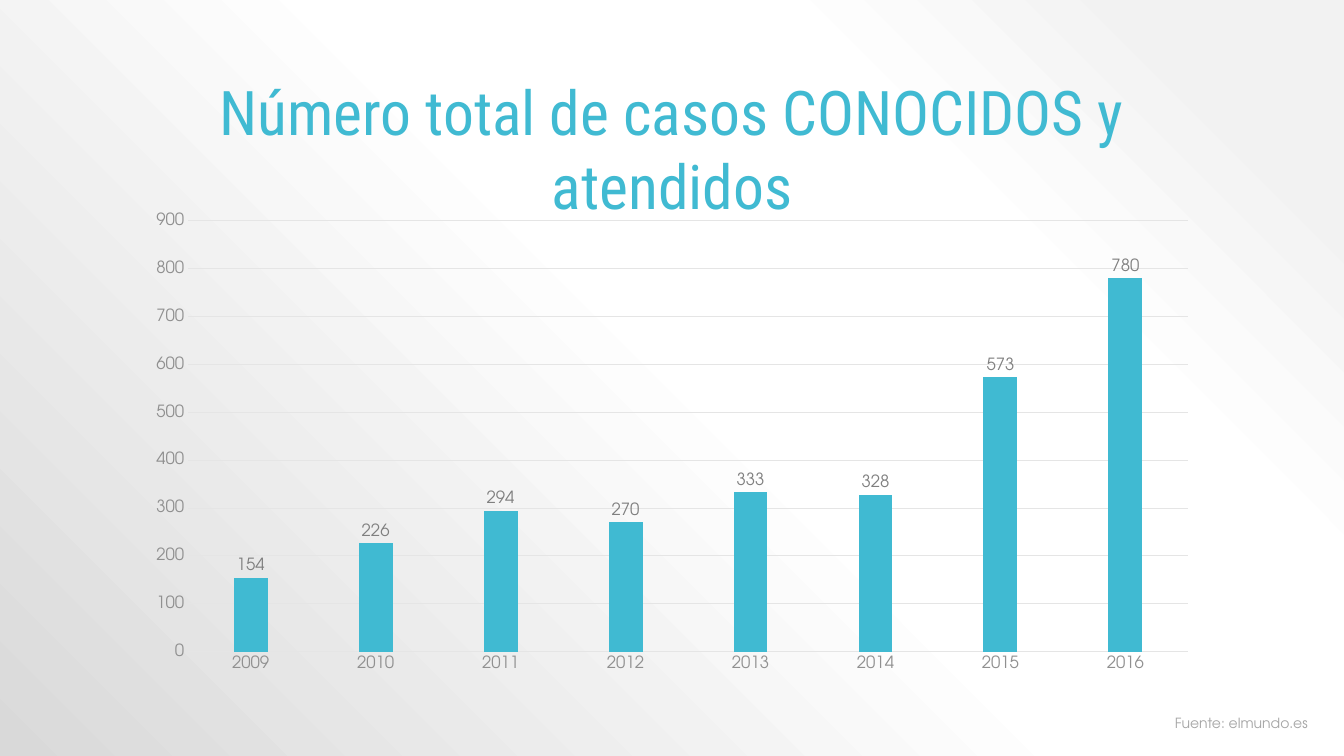
from pptx import Presentation
from pptx.chart.data import CategoryChartData as Data
from pptx.dml.color import RGBColor as Rgb
from pptx.enum.chart import XL_CHART_TYPE as Kind, XL_LABEL_POSITION as Spot, XL_TICK_MARK as Tick
from pptx.enum.text import MSO_AUTO_SIZE as Auto, PP_ALIGN as Align
from pptx.oxml import parse_xml
from pptx.oxml.ns import nsdecls, qn
from pptx.util import Cm, Pt

HUES = {"main": "40BAD2", "text": "545454", "axis": "909090", "label": "7F7F7F",
        "grid": "E5E5E5", "note": "A6A6A6"}
STOPS = [(10, "F2F2F2"), (28, "FFFFFF"), (48, "FFFFFF"), (100, "D9D9D9")]
HEAD, BODY = "Roboto Condensed", "TeX Gyre Adventor"
CASES = {"2009": 154, "2010": 226, "2011": 294, "2012": 270,
         "2013": 333, "2014": 328, "2015": 573, "2016": 780}
PLOT = {"x": 0.05, "y": 0.04, "w": 0.93, "h": 0.9}


def assign(item, **vals):
    """Set each named attribute on the item."""
    for name, val in vals.items():
        setattr(item, name, val)


def style(font, face, size, hue):
    """Set the face, size and colour of a font."""
    assign(font, name=face, size=Pt(size))
    font.color.rgb = Rgb.from_string(HUES[hue])


def paint(slide):
    """Fill the background with a gradient centred on the top right corner."""
    stops = "".join(f'<a:gs pos="{pos * 1000}"><a:srgbClr val="{hue}"/></a:gs>'
                    for pos, hue in STOPS)
    slide.element.cSld.insert(0, parse_xml(
        f'<p:bg {nsdecls("p", "a")}><p:bgPr><a:gradFill rotWithShape="1">'
        f'<a:gsLst>{stops}</a:gsLst><a:path path="circle">'
        '<a:fillToRect l="100000" b="100000"/></a:path></a:gradFill>'
        '<a:effectLst/></p:bgPr></p:bg>'))


def write(slide, box, text, font, wrap=True, **form):
    """Place one paragraph of text in the box."""
    frame = slide.shapes.add_textbox(*map(Cm, box)).text_frame
    assign(frame, word_wrap=wrap, auto_size=Auto.SHAPE_TO_FIT_TEXT)
    para = frame.paragraphs[0]
    assign(para, **form)
    run = para.add_run()
    run.text = text
    style(run.font, *font)


def rule(line):
    """Draw a line in the thin grid style."""
    line.width = Pt(0.75)
    line.color.rgb = Rgb.from_string(HUES["grid"])


def place(chart):
    """Fix the inner plot area as shares of the chart."""
    area = chart._chartSpace.chart.plotArea
    for old in area.findall(qn("c:layout")):
        area.remove(old)
    parts = "".join(f'<c:{key} val="{val}"/>' for key, val in PLOT.items())
    area.insert(0, parse_xml(
        f'<c:layout {nsdecls("c")}><c:manualLayout><c:layoutTarget val="inner"/>'
        f'<c:xMode val="edge"/><c:yMode val="edge"/>{parts}</c:manualLayout></c:layout>'))


def graph(slide, box):
    """Draw the column chart of cases per year in the box."""
    data = Data()
    data.categories = list(CASES)
    data.add_series("Series 1", list(CASES.values()))
    chart = slide.shapes.add_chart(Kind.COLUMN_CLUSTERED, *map(Cm, box), data).chart
    assign(chart, has_legend=False, has_title=False)
    style(chart.font, BODY, 10, "text")
    years, scale = chart.category_axis, chart.value_axis
    for axis in (years, scale):
        assign(axis, major_tick_mark=Tick.NONE, minor_tick_mark=Tick.NONE)
        style(axis.tick_labels.font, BODY, 12, "axis")
    assign(scale, minimum_scale=0, maximum_scale=900, major_unit=100)
    rule(years.format.line)
    rule(scale.major_gridlines.format.line)
    scale.format.line.fill.background()
    plot = chart.plots[0]
    assign(plot, gap_width=269, overlap=-27, vary_by_categories=False, has_data_labels=True)
    assign(plot.data_labels, show_value=True, position=Spot.OUTSIDE_END)
    style(plot.data_labels.font, BODY, 12, "label")
    fill = plot.series[0].format.fill
    fill.solid()
    fill.fore_color.rgb = Rgb.from_string(HUES["main"])
    place(chart)


def main():
    """Build the slide and save it."""
    deck = Presentation()
    assign(deck, slide_width=Cm(33.87), slide_height=Cm(19.05))
    slide = deck.slides.add_slide(deck.slide_layouts[6])
    paint(slide)
    graph(slide, (3.39, 5.08, 27.09, 12.07))
    write(slide, (2.54, 1.73, 28.8, 2.13), "Número total de casos CONOCIDOS y atendidos",
          (HEAD, 44, "main"), alignment=Align.CENTER)
    write(slide, (29.36, 17.93, 3.91, 0.64), "Fuente: elmundo.es",
          (BODY, 10, "note"), wrap=False, line_spacing=0.9)
    deck.save("out.pptx")


if __name__ == "__main__":
    main()
